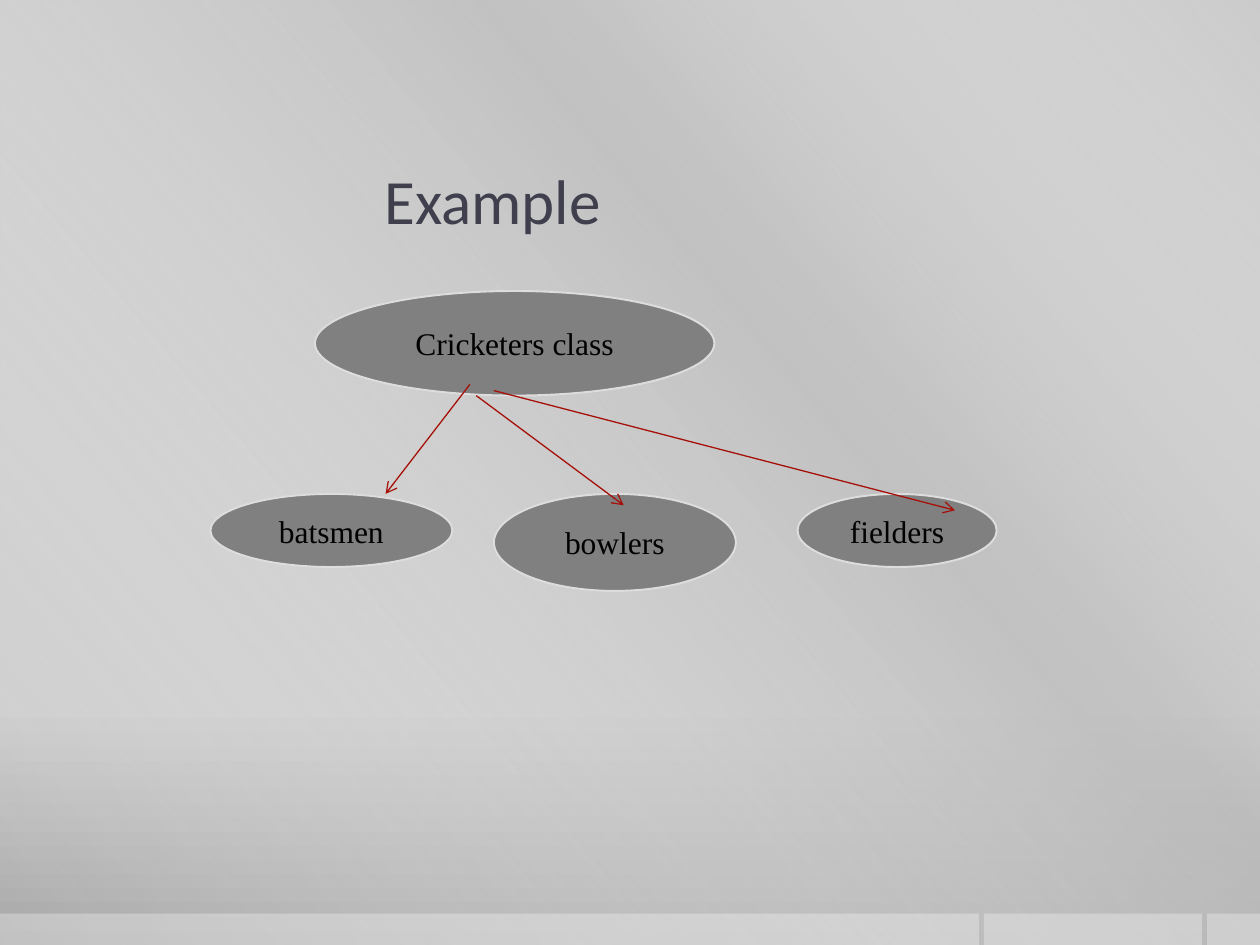
from lxml.etree import SubElement
from pptx import Presentation
from pptx.dml.color import RGBColor
from pptx.enum.shapes import MSO_CONNECTOR, MSO_SHAPE
from pptx.enum.text import MSO_ANCHOR, PP_ALIGN
from pptx.oxml.ns import qn
from pptx.util import Inches, Pt

WHITE = RGBColor(0xFF, 0xFF, 0xFF)
BLACK = RGBColor(0, 0, 0)
TITLE_COLOR = RGBColor(0x3F, 0x3F, 0x4D)
OVAL_FILL = RGBColor(0x80, 0x80, 0x80)
OVAL_LINE = RGBColor(0xDD, 0xDD, 0xDD)
ARROW_COLOR = RGBColor(0xA5, 0x10, 0x09)
BAND_GREY = RGBColor(0xBF, 0xBF, 0xBF)

WIDTH, HEIGHT = 10, 7.5
TITLE = "Example"
# Gradient stops: position %, colour, opacity %
BACKDROP = [(0, RGBColor(0xCB, 0xCB, 0xCB), 100),
            (76, RGBColor(0xC8, 0xC8, 0xC8), 100),
            (100, RGBColor(0xA7, 0xA7, 0xA7), 100)]
DIAGONAL_BAND = [(0, WHITE, 0), (34, BAND_GREY, 61),
                 (38, BAND_GREY, 76), (100, WHITE, 0)]
# Footer bars: left, width
FOOTER_TOP = 7.25
FOOTER_BARS = [(9.58, 0.42), (7.81, 1.73), (0, 7.77)]
# Class and its members: label, left, top, width, height
OVALS = [("Cricketers class", 2.5, 2.31, 3.17, 0.83),
         ("batsmen", 1.67, 3.92, 1.92, 0.58),
         ("bowlers", 3.92, 3.92, 1.92, 0.77),
         ("fielders", 6.33, 3.92, 1.58, 0.58)]
# Arrows: start x, y, end x, y
ARROWS = [(3.73, 3.05, 3.06, 3.92),
          (3.78, 3.14, 4.95, 4.01),
          (3.92, 3.1, 7.58, 4.05)]


def set_alpha(color_element, opacity):
    """Give a colour element an opacity in percent."""
    SubElement(color_element, qn("a:alpha"), val=str(opacity * 1000))


def set_gradient(owner, stops, angle):
    """Replace the solid fill of owner with a linear gradient."""
    solid = owner.find(qn("a:solidFill"))
    gradient = owner.makeelement(qn("a:gradFill"), {"rotWithShape": "1"})
    stop_list = SubElement(gradient, qn("a:gsLst"))
    for position, color, opacity in stops:
        stop = SubElement(stop_list, qn("a:gs"), pos=str(position * 1000))
        rgb = SubElement(stop, qn("a:srgbClr"), val=str(color))
        if opacity < 100:
            set_alpha(rgb, opacity)
    SubElement(gradient, qn("a:lin"), ang=str(angle * 60000), scaled="0")
    owner.replace(solid, gradient)


def add_filled(slide, preset, box, color):
    """Add a flat preset shape without outline."""
    shape = slide.shapes.add_shape(preset, *map(Inches, box))
    shape.shadow.inherit = False
    shape.fill.solid()
    shape.fill.fore_color.rgb = color
    shape.line.fill.background()
    return shape


def write(shape, text, font, size, color, align):
    """Write one vertically centred line of text."""
    frame = shape.text_frame
    frame.word_wrap = True
    frame.vertical_anchor = MSO_ANCHOR.MIDDLE
    paragraph = frame.paragraphs[0]
    paragraph.alignment = align
    run = paragraph.add_run()
    run.text = text
    run.font.name = font
    run.font.size = Pt(size)
    run.font.color.rgb = color


def add_backdrop(slide):
    """Add the background, its diagonal band and the footer bars."""
    slide.background.fill.solid()
    set_gradient(slide.element.find(".//" + qn("p:bgPr")), BACKDROP, 90)
    band = add_filled(slide, MSO_SHAPE.RECTANGLE, (0, 0, WIDTH, HEIGHT), WHITE)
    set_gradient(band.element.spPr, DIAGONAL_BAND, 140)
    for left, width in FOOTER_BARS:
        box = (left, FOOTER_TOP, width, HEIGHT - FOOTER_TOP)
        bar = add_filled(slide, MSO_SHAPE.RECTANGLE, box, WHITE)
        set_alpha(bar.element.spPr.find(qn("a:solidFill"))[0], 30)


def add_title(slide):
    """Add the heading."""
    title = slide.shapes.add_textbox(Inches(3.05), Inches(1.08),
                                     Inches(6.45), Inches(1))
    title.text_frame.margin_left = title.text_frame.margin_right = 0
    write(title, TITLE, "Calibri", 36, TITLE_COLOR, PP_ALIGN.LEFT)


def add_oval(slide, label, *box):
    """Add one labelled oval."""
    oval = add_filled(slide, MSO_SHAPE.OVAL, box, OVAL_FILL)
    oval.line.color.rgb = OVAL_LINE
    oval.line.width = Pt(1.1)
    write(oval, label, "Times New Roman", 18, BLACK, PP_ALIGN.CENTER)


def add_arrow(slide, *ends):
    """Add one arrow from the class to a member."""
    arrow = slide.shapes.add_connector(MSO_CONNECTOR.STRAIGHT,
                                       *map(Inches, ends))
    arrow.line.color.rgb = ARROW_COLOR
    arrow.line.width = Pt(0.75)
    SubElement(arrow.line._get_or_add_ln(), qn("a:tailEnd"), type="arrow")
    SubElement(arrow.element.spPr, qn("a:effectLst"))


def main():
    """Build the slide and save it."""
    deck = Presentation()
    deck.slide_width, deck.slide_height = Inches(WIDTH), Inches(HEIGHT)
    slide = deck.slides.add_slide(deck.slide_layouts[6])
    add_backdrop(slide)
    add_title(slide)
    for oval in OVALS:
        add_oval(slide, *oval)
    for arrow in ARROWS:
        add_arrow(slide, *arrow)
    deck.save("out.pptx")


main()
